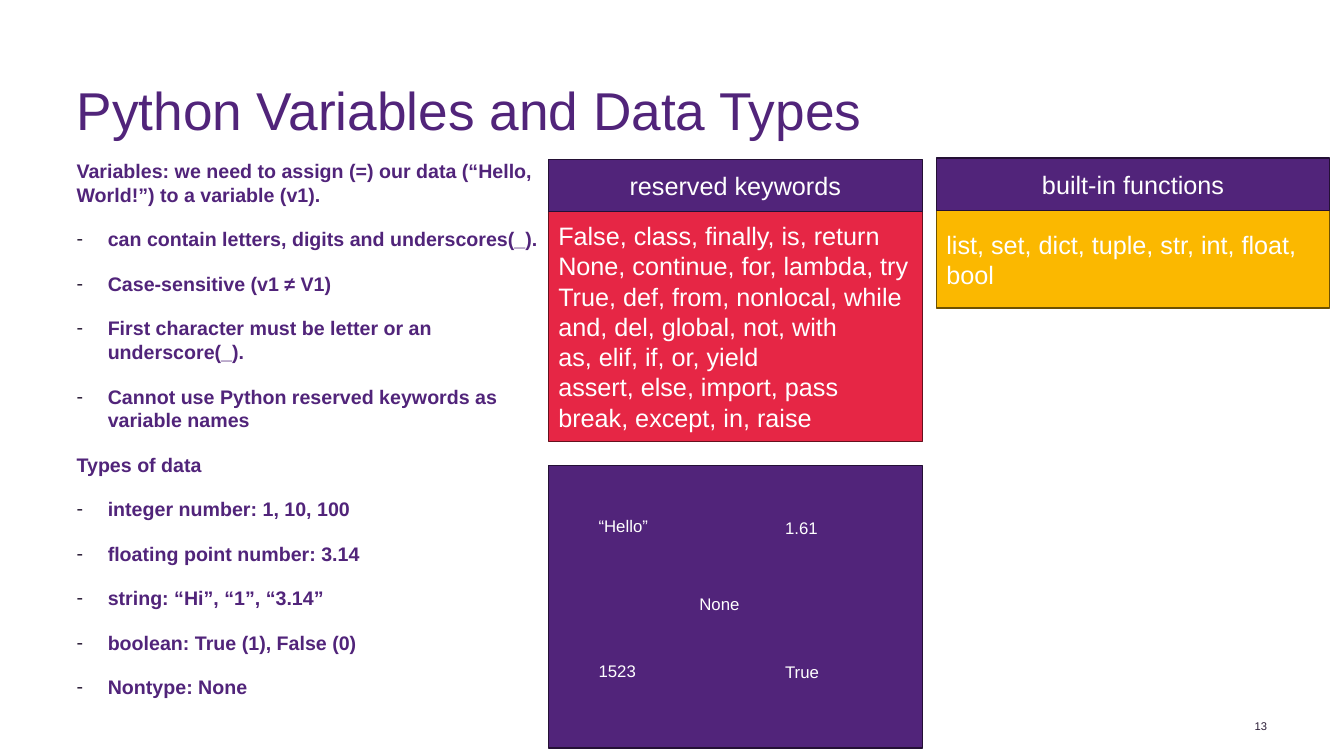
from dataclasses import dataclass

from lxml import etree
from pptx import Presentation
from pptx.dml.color import RGBColor
from pptx.enum.shapes import MSO_SHAPE
from pptx.enum.text import MSO_ANCHOR, PP_ALIGN
from pptx.oxml.ns import qn
from pptx.util import Emu, Inches, Pt

RECTANGLE = MSO_SHAPE.RECTANGLE
TOP, MIDDLE = MSO_ANCHOR.TOP, MSO_ANCHOR.MIDDLE
LEFT, CENTER, RIGHT = PP_ALIGN.LEFT, PP_ALIGN.CENTER, PP_ALIGN.RIGHT
SLIDE_WIDTH, SLIDE_HEIGHT = Inches(13.333), Inches(7.5)
BULLET_INDENT = Inches(0.31)

COLORS = {
    "purple": "51247A", "purple edge": "241035",
    "red": "E62645", "red edge": "65111E",
    "gold": "FBB800", "gold edge": "6E5100",
    "ink": "2B1D37", "white": "FFFFFF",
}
NO_MARGINS = {"margin_left": 0, "margin_right": 0, "margin_top": 0, "margin_bottom": 0}


@dataclass(frozen=True)
class Area:
    """A rectangle in percent of the slide's width and height."""
    left: float
    top: float
    width: float
    height: float

    def emu(self) -> list[Emu]:
        shares = (self.left, self.top, self.width, self.height)
        sides = (SLIDE_WIDTH, SLIDE_HEIGHT) * 2
        return [Emu(round(share * side / 100)) for share, side in zip(shares, sides)]


@dataclass(frozen=True)
class Style:
    size: float
    color: str
    bold: bool = False
    align: PP_ALIGN = LEFT


@dataclass(frozen=True)
class Card:
    left: float
    top: float
    width: float
    body_height: float
    heading: str
    lines: list[str]
    color: str


@dataclass(frozen=True)
class Topic:
    heading: str
    points: list[str]


@dataclass(frozen=True)
class Sample:
    value: str
    left: float
    top: float


HEADER_HEIGHT = 6.9
TITLE = Style(38, "purple")
NOTES = Style(14, "purple", bold=True)
HEADING = Style(18, "white", align=CENTER)
WORDS = Style(18, "white")
VALUE = Style(12, "white")
PAGE_NUMBER = Style(8, "ink", align=RIGHT)

TOPICS = [
    Topic("Variables: we need to assign (=) our data (“Hello, World!”) to a variable (v1).", [
        "can contain letters, digits and underscores(_).",
        "Case-sensitive (v1 ≠ V1)",
        "First character must be letter or an underscore(_).",
        "Cannot use Python reserved keywords as variable names",
    ]),
    Topic("Types of data", [
        "integer number: 1, 10, 100",
        "floating point number: 3.14",
        "string: “Hi”, “1”, “3.14”",
        "boolean: True (1), False (0)",
        "Nontype: None",
    ]),
]
CARDS = [
    Card(40.8, 21.07, 27.83, 30.4, "reserved keywords", [
        "False, class, finally, is, return",
        "None, continue, for, lambda, try",
        "True, def, from, nonlocal, while",
        "and, del, global, not, with",
        "as, elif, if, or, yield",
        "assert, else, import, pass",
        "break, except, in, raise",
    ], "red"),
    Card(69.68, 20.93, 29.25, 12.93, "built-in functions",
         ["list, set, dict, tuple, str, int, float, bool"], "gold"),
]
SAMPLES = [
    Sample("“Hello”", 43.8, 67.6), Sample("1.61", 57.68, 67.87),
    Sample("1523", 43.8, 86.8), Sample("True", 57.68, 86.93),
    Sample("None", 51.3, 77.87),
]


def rgb(name: str) -> RGBColor:
    return RGBColor.from_string(COLORS[name])


def apply(target, values: dict) -> None:
    for attribute, value in values.items():
        setattr(target, attribute, value)


def write(frame, lines: list[str], style: Style, anchor: MSO_ANCHOR = TOP) -> None:
    apply(frame, {"word_wrap": True, "vertical_anchor": anchor})
    for index, line in enumerate(lines):
        paragraph = frame.add_paragraph() if index else frame.paragraphs[0]
        paragraph.alignment = style.align
        run = paragraph.add_run()
        run.text = line
        apply(run.font, {"name": "Arial", "size": Pt(style.size), "bold": style.bold})
        run.font.color.rgb = rgb(style.color)


def add_text(slide, area: Area, lines: list[str], style: Style,
             anchor: MSO_ANCHOR = TOP, frame_format: dict = NO_MARGINS):
    frame = slide.shapes.add_textbox(*area.emu()).text_frame
    apply(frame, frame_format)
    write(frame, lines, style, anchor)
    return frame


def add_panel(slide, area: Area, color: str):
    panel = slide.shapes.add_shape(RECTANGLE, *area.emu())
    panel.shadow.inherit = False
    panel.fill.solid()
    panel.fill.fore_color.rgb = rgb(color)
    panel.line.color.rgb = rgb(f"{color} edge")
    panel.line.width = Pt(1)
    return panel


def add_card(slide, card: Card) -> None:
    body_area = Area(card.left, card.top + HEADER_HEIGHT, card.width, card.body_height)
    header_area = Area(card.left, card.top, card.width, HEADER_HEIGHT)
    body = add_panel(slide, body_area, card.color)
    write(body.text_frame, card.lines, WORDS, MIDDLE)
    header = add_panel(slide, header_area, "purple")
    write(header.text_frame, [card.heading], HEADING, MIDDLE)


def add_dash(paragraph) -> None:
    properties = paragraph._p.get_or_add_pPr()
    properties.set("marL", str(BULLET_INDENT))
    properties.set("indent", str(-BULLET_INDENT))
    color = etree.SubElement(properties, qn("a:buClr"))
    etree.SubElement(color, qn("a:srgbClr"), val=COLORS["ink"])
    etree.SubElement(properties, qn("a:buFont"), typeface="Arial")
    etree.SubElement(properties, qn("a:buChar"), char="-")


def add_notes(slide, area: Area, topics: list[Topic]) -> None:
    lines = [line for topic in topics for line in (topic.heading, *topic.points)]
    headings = {topic.heading for topic in topics}
    frame = add_text(slide, area, lines, NOTES)
    for index, paragraph in enumerate(frame.paragraphs):
        apply(paragraph, {"space_before": Pt(3 if index else 0), "space_after": Pt(12)})
        if paragraph.text not in headings:
            add_dash(paragraph)


def main() -> None:
    deck = Presentation()
    apply(deck, {"slide_width": SLIDE_WIDTH, "slide_height": SLIDE_HEIGHT})
    slide = deck.slides.add_slide(deck.slide_layouts[6])

    title = add_text(slide, Area(5.7, 11.2, 78.5, 6.8),
                     ["Python Variables and Data Types"], TITLE)
    title.paragraphs[0].line_spacing = 0.9
    add_notes(slide, Area(5.7, 21.07, 36, 75.6), TOPICS)
    add_text(slide, Area(91.95, 95.2, 2.33, 1.6), ["13"], PAGE_NUMBER, MIDDLE)

    for card in CARDS:
        add_card(slide, card)
    add_panel(slide, Area(40.8, 61.6, 27.83, 37.33), "purple")
    for sample in SAMPLES:
        add_text(slide, Area(sample.left, sample.top, 5.93, 4.27),
                 [sample.value], VALUE, frame_format={})

    deck.save("out.pptx")


if __name__ == "__main__":
    main()
